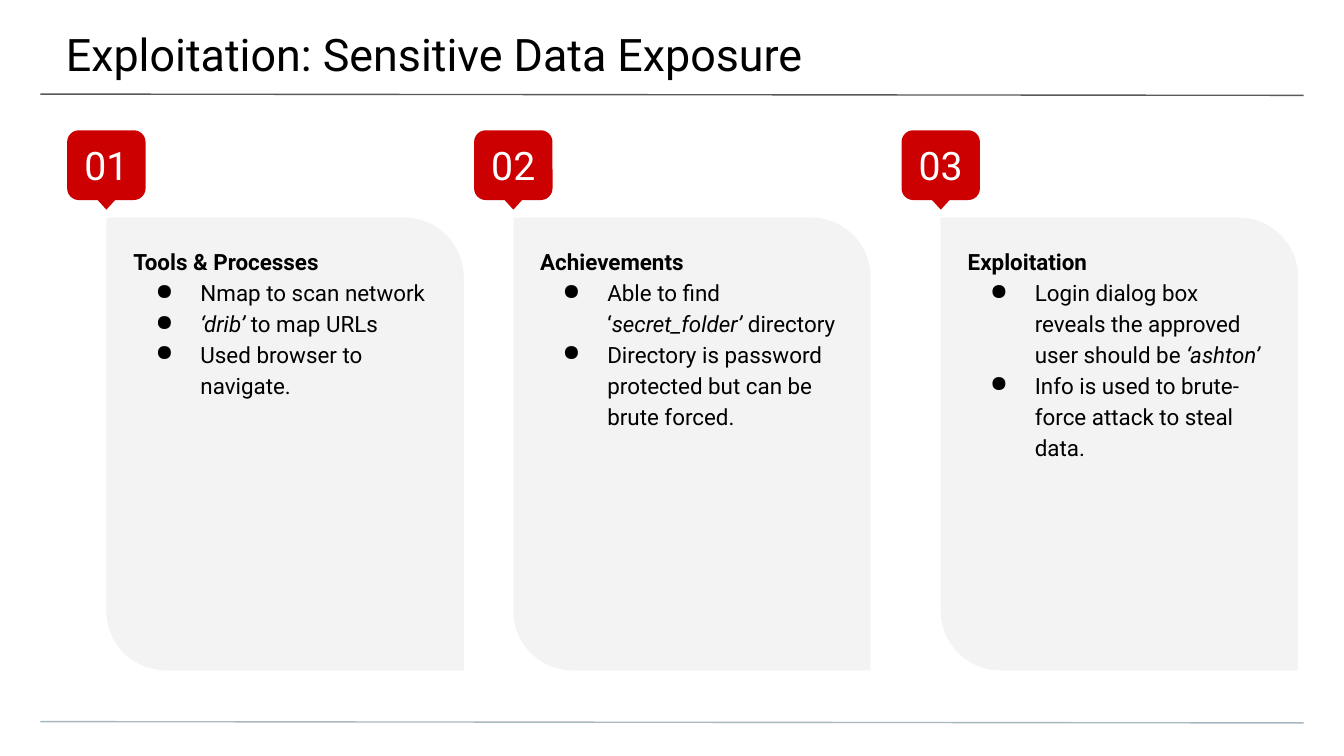
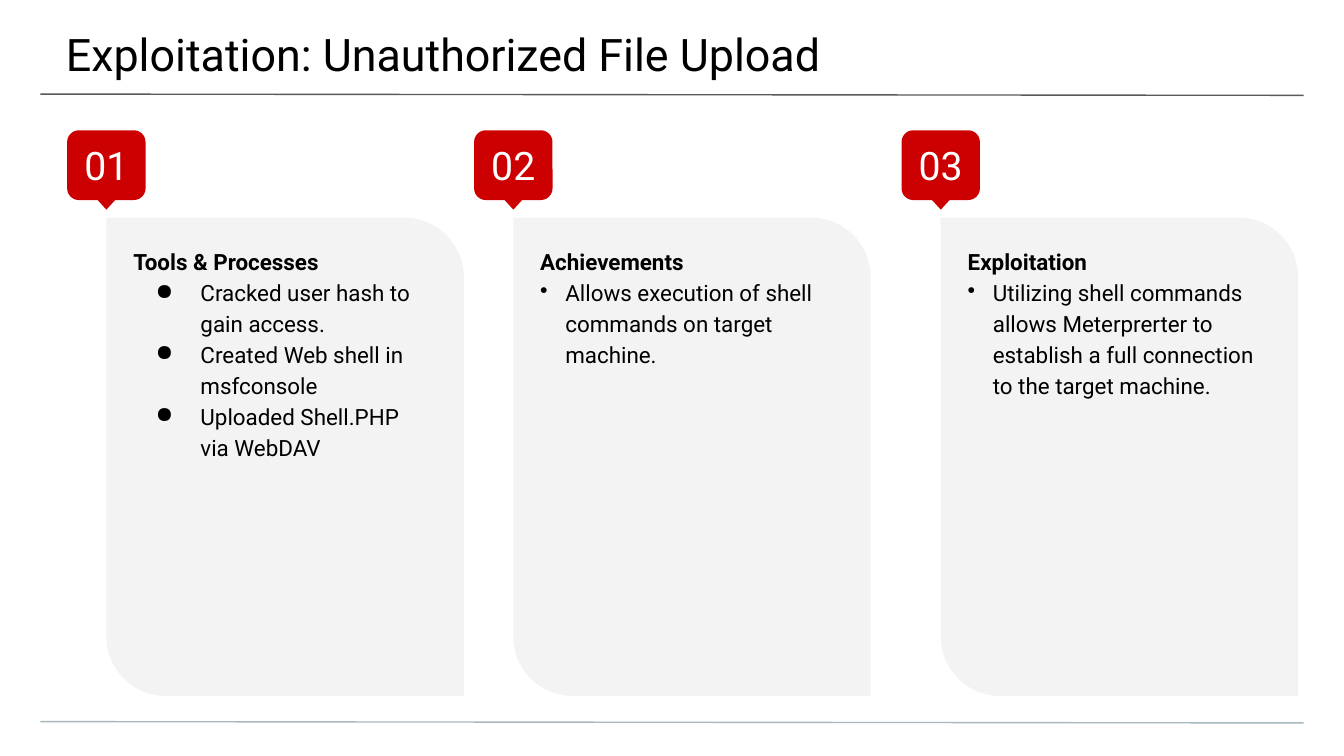
from typing import NamedTuple

from lxml import etree
from pptx import Presentation
from pptx.dml.color import RGBColor
from pptx.enum import shapes, text
from pptx.oxml.ns import qn
from pptx.util import Pt

FONT = "Roboto"
BLACK, WHITE = "000000", "FFFFFF"
RED, PALE_GREY = "CC0000", "F3F3F3"
HEADER_RULE, FOOTER_RULE = "595959", "A9B7C0"

CARD_TOP, CARD_WIDTH = 116.6, 191.5
CARD_PADDING = 14.4
BADGE_TOP, BADGE_WIDTH, BADGE_HEIGHT = 69.8, 42, 37.4
POINTER_TOP, POINTER_WIDTH, POINTER_HEIGHT = 100.8, 21, 11.5


class Column(NamedTuple):
    left: float
    text_width: float


class Bullet(NamedTuple):
    char: str
    margin: float
    hanging: float


class Card(NamedTuple):
    heading: str
    bullet: Bullet
    items: list[str]  # *asterisks* mark italics


class Topic(NamedTuple):
    title: str
    card_height: float
    cards: list[Card]


COLUMNS = [Column(57, 186.5), Column(275, 191.5), Column(504, 186.5)]
WIDE = Bullet("●", 36, 24)
NARROW = Bullet("•", 13.5, 13.5)

TOPICS = [
    Topic("Exploitation: Sensitive Data Exposure", 242.6, [
        Card("Tools & Processes", WIDE, [
            "Nmap to scan network",
            "*‘drib’ *to map URLs",
            "Used browser to navigate.",
        ]),
        Card("Achievements", WIDE, [
            "Able to find ‘*secret_folder’* directory",
            "Directory is password protected but can be brute forced.",
        ]),
        Card("Exploitation", WIDE, [
            "Login dialog box reveals the approved user should be *‘ashton’*",
            "Info is used to brute-force attack to steal data.",
        ]),
    ]),
    Topic("Exploitation: Unauthorized File Upload", 256.3, [
        Card("Tools & Processes", WIDE, [
            "Cracked user hash to gain access.",
            "Created Web shell in msfconsole",
            "Uploaded Shell.PHP via WebDAV",
        ]),
        Card("Achievements", NARROW, [
            "Allows execution of shell commands on target machine.",
        ]),
        Card("Exploitation", NARROW, [
            "Utilizing shell commands allows Meterprerter to establish "
            "a full connection to the target machine.",
        ]),
    ]),
]


def rgb(value: str) -> RGBColor:
    return RGBColor.from_string(value)


def set_font(para, size: float, color: str, bold: bool = False) -> None:
    para.font.name = FONT
    para.font.size = Pt(size)
    para.font.bold = bold
    para.font.color.rgb = rgb(color)


def set_insets(frame, left: float, top: float, right: float, bottom: float) -> None:
    frame.margin_left, frame.margin_top = Pt(left), Pt(top)
    frame.margin_right, frame.margin_bottom = Pt(right), Pt(bottom)


def add_filled(parent, kind, left: float, top: float, width: float,
               height: float, color: str):
    shape = parent.shapes.add_shape(kind, Pt(left), Pt(top), Pt(width), Pt(height))
    shape.shadow.inherit = False
    shape.fill.solid()
    shape.fill.fore_color.rgb = rgb(color)
    shape.line.fill.background()
    return shape


def add_rule(page, top: float, color: str) -> None:
    """Draw a thin line across the page, falling slightly to the right."""
    rule = page.shapes.add_connector(
        shapes.MSO_CONNECTOR.STRAIGHT, Pt(21.6), Pt(top), Pt(698.4), Pt(top + 0.7))
    rule.line.color.rgb = rgb(color)
    rule.line.width = Pt(0.75)
    etree.SubElement(rule._element.spPr, qn("a:effectLst"))


def set_title(page, title: str) -> None:
    box = page.shapes.title
    box.left, box.top, box.width, box.height = Pt(-0.7), Pt(0), Pt(722), Pt(41.8)
    frame = box.text_frame
    frame.text = title
    frame.word_wrap = True
    frame.auto_size = text.MSO_AUTO_SIZE.NONE
    frame.vertical_anchor = text.MSO_ANCHOR.TOP
    set_insets(frame, 36, 14.4, 21.6, 7.2)
    para = frame.paragraphs[0]
    para.alignment = text.PP_ALIGN.LEFT
    set_font(para, 24, BLACK)


def add_bullet(para, bullet: Bullet) -> None:
    props = para._p.get_or_add_pPr()
    props.set("marL", str(Pt(bullet.margin)))
    props.set("indent", str(Pt(-bullet.hanging)))
    color = etree.SubElement(props, qn("a:buClr"))
    etree.SubElement(color, qn("a:srgbClr"), val=BLACK)
    etree.SubElement(props, qn("a:buChar"), char=bullet.char)


def add_spans(para, marked: str) -> None:
    for index, part in enumerate(marked.split("*")):
        if part:
            span = para.add_run()
            span.text = part
            if index % 2:
                span.font.italic = True


def add_card(page, column: Column, card: Card, height: float) -> None:
    panel = add_filled(page, shapes.MSO_SHAPE.ROUND_2_DIAG_RECTANGLE,
                       column.left, CARD_TOP, CARD_WIDTH, height, PALE_GREY)
    panel.adjustments[0], panel.adjustments[1] = 0, 0.167

    box = page.shapes.add_textbox(
        Pt(column.left), Pt(CARD_TOP), Pt(column.text_width), Pt(height))
    frame = box.text_frame
    frame.word_wrap = True
    set_insets(frame, *[CARD_PADDING] * 4)
    heading = frame.paragraphs[0]
    heading.text = card.heading
    heading.line_spacing = 1.15
    set_font(heading, 12, BLACK, bold=True)
    for item in card.items:
        para = frame.add_paragraph()
        add_bullet(para, card.bullet)
        para.line_spacing = 1.15
        set_font(para, 12, BLACK)
        add_spans(para, item)


def add_badge(page, center: float, number: int) -> None:
    """Draw a numbered tag whose pointer marks the card's left edge."""
    group = page.shapes.add_group_shape()
    tag = add_filled(group, shapes.MSO_SHAPE.ROUNDED_RECTANGLE,
                     center - BADGE_WIDTH / 2, BADGE_TOP,
                     BADGE_WIDTH, BADGE_HEIGHT, RED)
    tag.adjustments[0] = 0.167
    frame = tag.text_frame
    frame.vertical_anchor = text.MSO_ANCHOR.MIDDLE
    set_insets(frame, *[7.2] * 4)
    para = frame.paragraphs[0]
    para.text = f"{number:02}"
    para.alignment = text.PP_ALIGN.CENTER
    set_font(para, 21, WHITE)
    pointer = add_filled(group, shapes.MSO_SHAPE.FLOWCHART_EXTRACT,
                         center - POINTER_WIDTH / 2, POINTER_TOP,
                         POINTER_WIDTH, POINTER_HEIGHT, RED)
    pointer.rotation = 180


def add_topic(deck, topic: Topic) -> None:
    page = deck.slides.add_slide(deck.slide_layouts.get_by_name("Title Only"))
    add_rule(page, 50.4, HEADER_RULE)
    add_rule(page, 386.6, FOOTER_RULE)
    set_title(page, topic.title)
    for number, (column, card) in enumerate(zip(COLUMNS, topic.cards), start=1):
        add_card(page, column, card, topic.card_height)
        add_badge(page, column.left, number)


def main() -> None:
    deck = Presentation()
    deck.slide_width, deck.slide_height = Pt(720), Pt(405)
    for topic in TOPICS:
        add_topic(deck, topic)
    deck.save("out.pptx")


if __name__ == "__main__":
    main()
